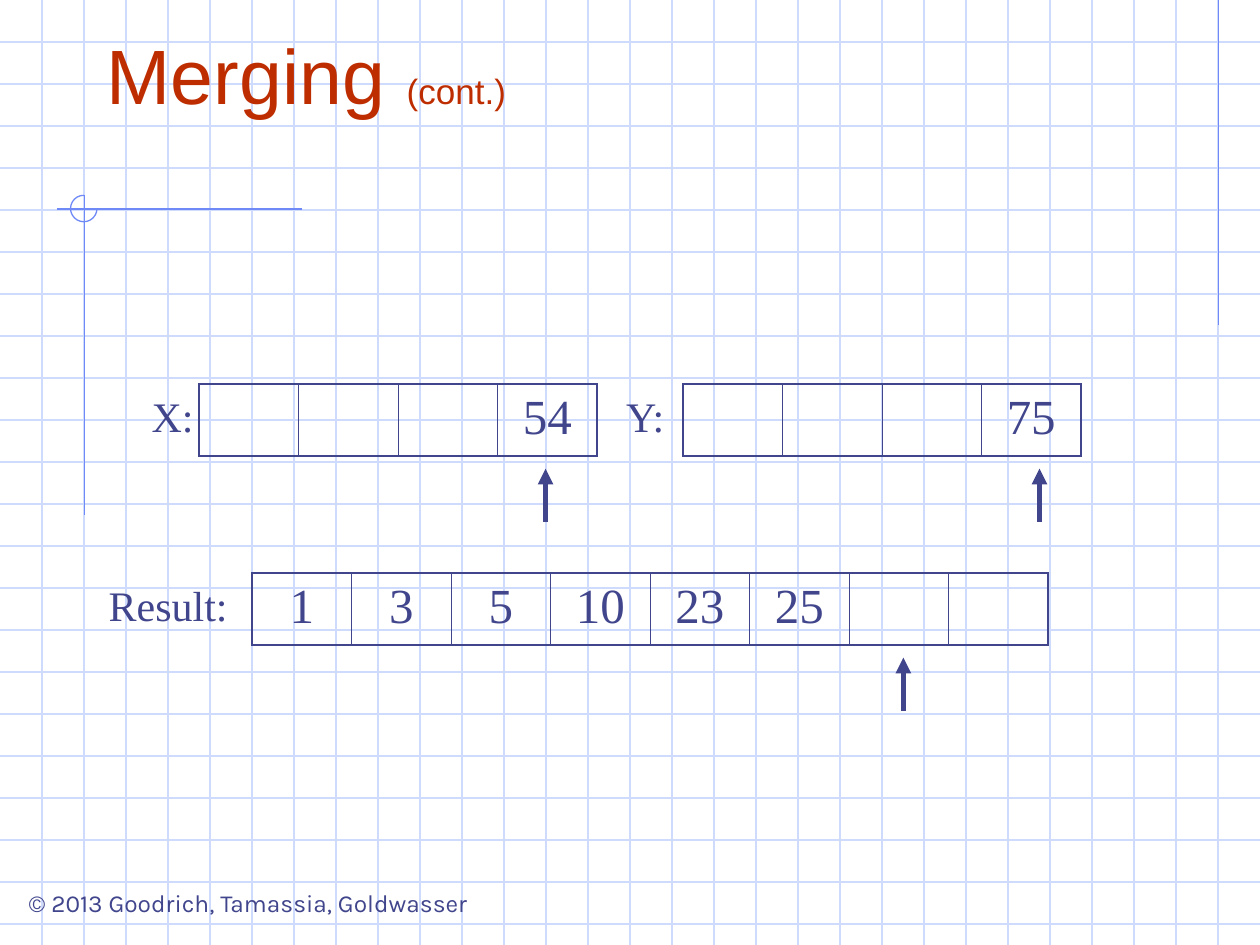
from dataclasses import dataclass

from lxml import etree
from pptx import Presentation
from pptx.dml.color import RGBColor
from pptx.enum.shapes import MSO_CONNECTOR, MSO_SHAPE
from pptx.enum.text import MSO_ANCHOR, PP_ALIGN
from pptx.oxml.ns import qn
from pptx.util import Inches, Pt

LINE = MSO_CONNECTOR.STRAIGHT
ARC = MSO_SHAPE.ARC
CENTER, LEFT = PP_ALIGN.CENTER, PP_ALIGN.LEFT
TOP, BOTTOM = MSO_ANCHOR.TOP, MSO_ANCHOR.BOTTOM


@dataclass(frozen=True)
class Theme:
    ink: str = "40458C"
    red: str = "BE2D00"
    grid: str = "CFDBFD"
    trim: str = "6F89F7"
    serif: str = "Times New Roman"
    sans: str = "Arial"
    foot: str = "Karla"
    title: int = 44
    value: int = 28
    label: int = 24
    small: int = 20
    note: int = 14
    thin: float = 0.45
    edge: float = 1.08
    rule: float = 0.75
    arrow: float = 3


THEME = Theme()
WIDTH, HEIGHT = 10, 7.5
CELL_W, CELL_H = 0.79, 0.57


def add_run(para, text, size, font, color):
    run = para.add_run()
    run.text = text
    run.font.size = Pt(size)
    run.font.name = font
    run.font.color.rgb = RGBColor.from_string(color)


def add_text(slide, box, runs, align=CENTER, anchor=TOP, wrap=True):
    """Add a one-paragraph text box; runs are (text, size, font, color)."""
    frame = slide.shapes.add_textbox(*map(Inches, box)).text_frame
    frame.word_wrap = wrap
    frame.vertical_anchor = anchor
    para = frame.paragraphs[0]
    para.alignment = align
    for run in runs:
        add_run(para, *run)


def add_line(slide, start, end, color, width):
    line = slide.shapes.add_connector(LINE, *map(Inches, (*start, *end)))
    line.line.color.rgb = RGBColor.from_string(color)
    line.line.width = Pt(width)
    etree.SubElement(line._element.spPr, qn("a:effectLst"))
    return line


def add_arrow(slide, x, y):
    """Add an upward arrow whose tip is at x, y."""
    line = add_line(slide, (x, y + 0.42), (x, y), THEME.ink, THEME.arrow)
    etree.SubElement(line.line._get_or_add_ln(), qn("a:tailEnd"), type="triangle")


def add_grid(slide, width, height):
    for i in range(1, 23):
        add_line(slide, (0, i / 3), (width, i / 3), THEME.grid, THEME.rule)
    for i in range(1, 30):
        add_line(slide, (i / 3, 0), (i / 3, height), THEME.grid, THEME.rule)


def add_trim(slide):
    """Add the corner lines and the open circle where they cross."""
    for start, end in (
        ((9.67, 0), (9.67, 2.58)),
        ((2.4, 1.66), (0.45, 1.66)),
        ((0.67, 1.55), (0.67, 4.09)),
    ):
        add_line(slide, start, end, THEME.trim, THEME.rule)
    arc = slide.shapes.add_shape(ARC, *map(Inches, (0.56, 1.55, 0.21, 0.21)))
    arc.adjustments[0] = 0
    arc.adjustments[1] = 162  # 270 degrees
    arc.shadow.inherit = False
    arc.fill.background()
    arc.line.color.rgb = RGBColor.from_string(THEME.trim)
    arc.line.width = Pt(THEME.rule)


def set_border(cell, first, last):
    props = cell._tc.get_or_add_tcPr()
    widths = {
        "L": THEME.edge if first else THEME.thin,
        "R": THEME.edge if last else THEME.thin,
        "T": THEME.edge,
        "B": THEME.edge,
    }
    for side, width in widths.items():
        line = etree.SubElement(props, qn(f"a:ln{side}"), w=str(Pt(width)))
        fill = etree.SubElement(line, qn("a:solidFill"))
        etree.SubElement(fill, qn("a:srgbClr"), val=THEME.ink)


def add_array(slide, x, y, values):
    count = len(values)
    box = map(Inches, (x, y, count * CELL_W, CELL_H))
    table = slide.shapes.add_table(1, count, *box).table
    table.first_row = table.horz_banding = False
    for i, value in enumerate(values):
        table.columns[i].width = Inches(CELL_W)
        cell = table.cell(0, i)
        set_border(cell, i == 0, i == count - 1)
        cell.fill.background()
        if value:
            para = cell.text_frame.paragraphs[0]
            para.alignment = CENTER
            para.space_before = Pt(7)
            add_run(para, value, THEME.value, THEME.serif, THEME.ink)


def add_row(slide, name, box, x, values, tip):
    """Add a labelled array with an arrow below it at tip."""
    y = box[1]
    add_array(slide, x, y, values)
    add_arrow(slide, tip, y + 0.67)
    add_text(slide, box, [(name, THEME.label, THEME.serif, THEME.ink)])


def build_slide(slide):
    add_grid(slide, WIDTH, HEIGHT)
    add_trim(slide)
    note = "© 2013 Goodrich, Tamassia, Goldwasser"
    add_text(slide, (0.03, 7, 3.88, 0.34),
             [(note, THEME.note, THEME.foot, THEME.ink)], wrap=False)
    add_text(slide, (0.75, 0.17, 8.5, 0.83),
             [("Merging ", THEME.title, THEME.sans, THEME.red),
              ("(cont.)", THEME.small, THEME.sans, THEME.red)], LEFT, BOTTOM)
    add_row(slide, "X:", (1.08, 3.05, 0.58, 0.5), 1.58, ["", "", "", "54"], 4.33)
    add_row(slide, "Y:", (4.83, 3.05, 0.58, 0.5), 5.42, ["", "", "", "75"], 8.25)
    add_row(slide, "Result:", (0.75, 4.55, 1.17, 0.5), 2,
            ["1", "3", "5", "10", "23", "25", "", ""], 7.17)


def main():
    deck = Presentation()
    deck.slide_width, deck.slide_height = Inches(WIDTH), Inches(HEIGHT)
    build_slide(deck.slides.add_slide(deck.slide_layouts[6]))
    deck.save("out.pptx")


if __name__ == "__main__":
    main()
